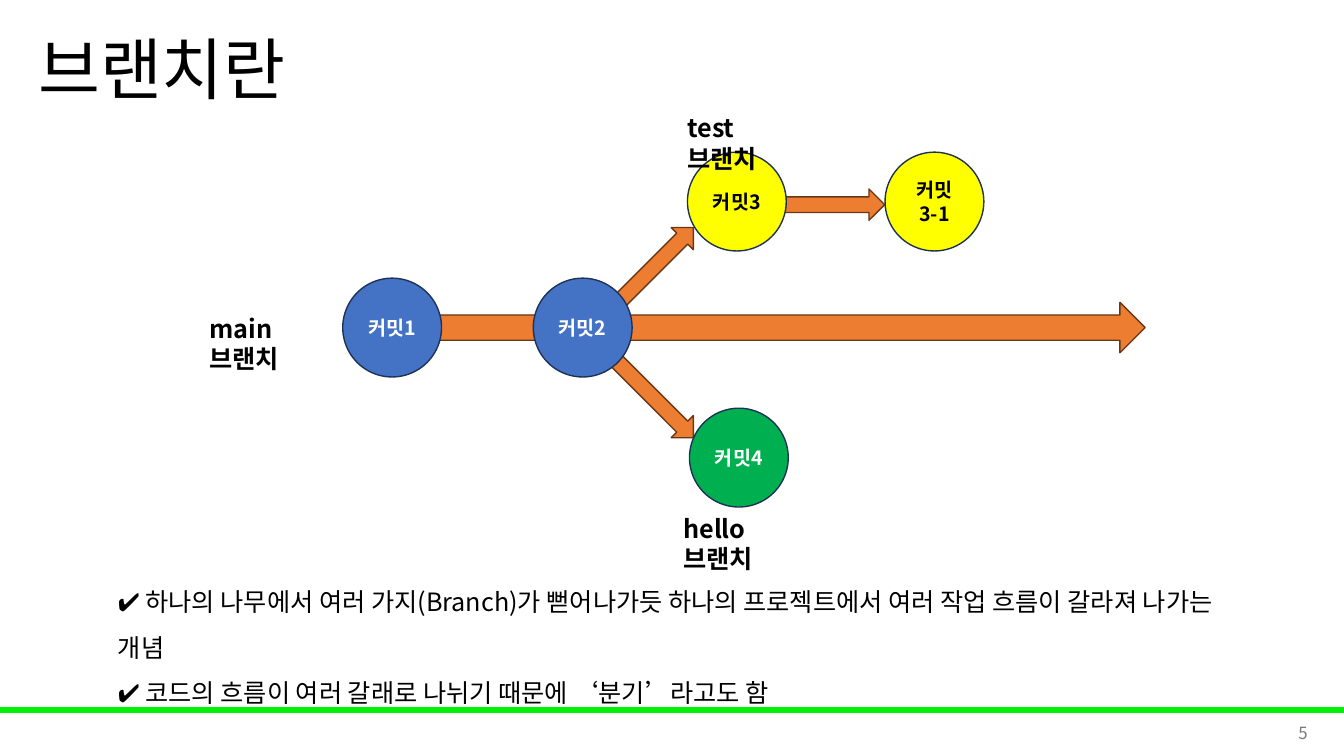
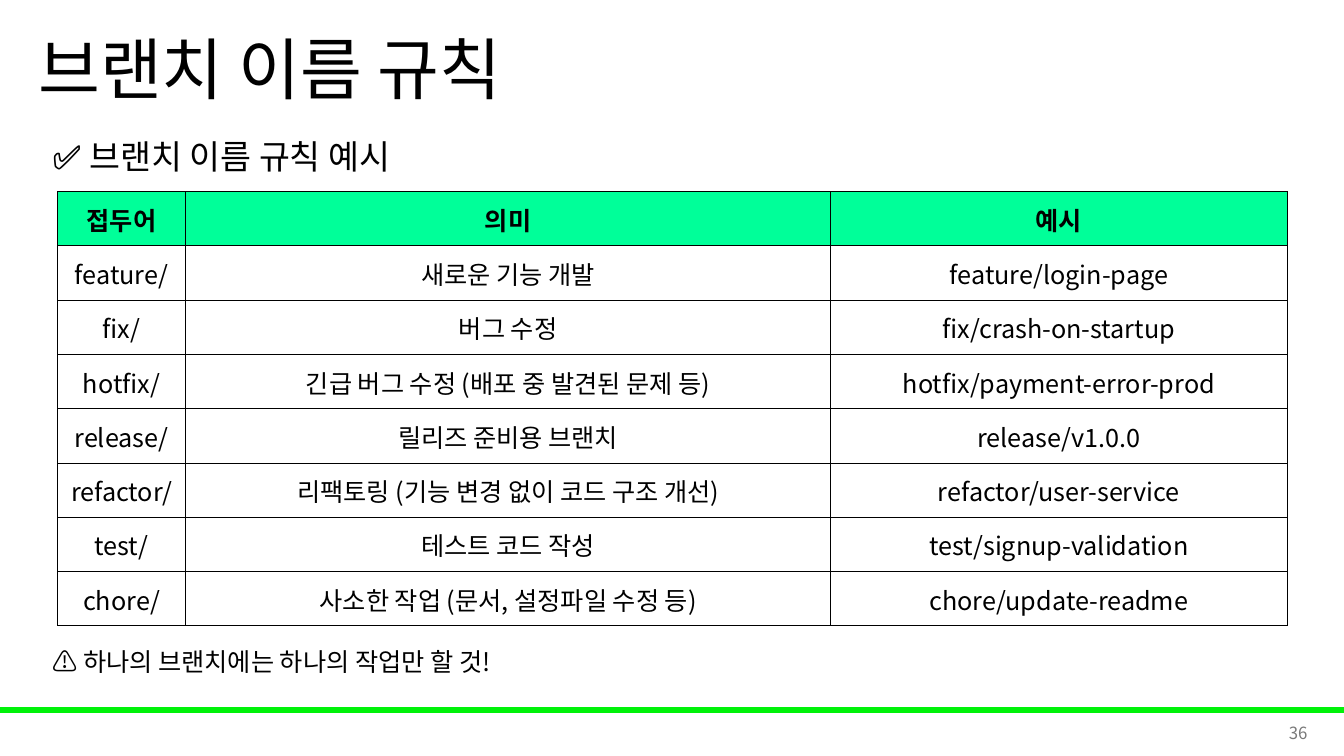
"""Build two slides on Git branches: the concept and the naming rules."""
from lxml.etree import SubElement
from pptx import Presentation
from pptx.dml.color import RGBColor
from pptx.enum.shapes import MSO_SHAPE as Shape
from pptx.enum.text import MSO_ANCHOR as Anchor, MSO_AUTO_SIZE as AutoSize, PP_ALIGN as Align
from pptx.oxml import parse_xml
from pptx.oxml.ns import nsdecls, qn
from pptx.util import Inches, Pt

FONT = "Noto Sans CJK KR"
BLACK = RGBColor(0x00, 0x00, 0x00)
WHITE = RGBColor(0xFF, 0xFF, 0xFF)
GRAY = RGBColor(0x79, 0x79, 0x79)
BAND_GREEN = RGBColor(0x00, 0xF2, 0x09)
HEADER_GREEN = RGBColor(0x00, 0xFF, 0x99)
ORANGE = RGBColor(0xED, 0x7D, 0x31)
BROWN = RGBColor(0x68, 0x37, 0x15)
BLUE = RGBColor(0x44, 0x72, 0xC4)
NAVY = RGBColor(0x1E, 0x32, 0x56)
YELLOW = RGBColor(0xFF, 0xFF, 0x00)
GREEN = RGBColor(0x00, 0xB0, 0x50)

deck = Presentation()
deck.slide_width, deck.slide_height = Inches(13.33), Inches(7.5)


def area(left, top, width, height):
    """Turn percentages of the slide into a position and a size."""
    across, down = deck.slide_width / 100, deck.slide_height / 100
    return round(left * across), round(top * down), round(width * across), round(height * down)


def write(frame, text, size, color=BLACK, bold=False, align=Align.LEFT, spacing=1.0, anchor=Anchor.TOP):
    """Fill a text frame and format all of its paragraphs."""
    frame.text = text
    frame.word_wrap = True
    frame.vertical_anchor = anchor
    for paragraph in frame.paragraphs:
        paragraph.alignment = align
        paragraph.line_spacing = spacing
        paragraph.space_before = Pt(0)
        for run in paragraph.runs:
            run.font.name, run.font.size, run.font.bold = FONT, Pt(size), bold
            run.font.color.rgb = color
            SubElement(run.font._element, qn("a:ea"), typeface=FONT)


pages = []
for layout_index, heading, number in ((5, "브랜치란", "5"), (1, "브랜치 이름 규칙", "36")):
    page = deck.slides.add_slide(deck.slide_layouts[layout_index])
    title = page.shapes.title
    title.left, title.top, title.width, title.height = area(2.1, 0, 86.25, 19.33)
    write(title.text_frame, heading, 48, spacing=0.9, anchor=Anchor.MIDDLE)
    title.text_frame.auto_size = AutoSize.NONE
    page_number = page.shapes.add_textbox(*area(75.53, 94.27, 22.5, 5.33))
    write(page_number.text_frame, number, 12, GRAY, align=Align.RIGHT, anchor=Anchor.MIDDLE)
    pages.append(page)
concept, naming = pages

band = concept.shapes.add_shape(Shape.RECTANGLE, *area(0, 93.6, 100, 0.67))
band.shadow.inherit = False
band.fill.solid()
band.fill.fore_color.rgb = BAND_GREEN
band.line.color.rgb = BAND_GREEN
band.line.width = Pt(1)
deck.slide_master.shapes.element.insert(2, band.element)

points = concept.shapes.add_textbox(*area(8.03, 74.93, 84.08, 12.8))
write(
    points.text_frame,
    "✔️ 하나의 나무에서 여러 가지(Branch)가 뻗어나가듯 하나의 프로젝트에서 여러 작업 흐름이 갈라져 나가는 개념\n"
    "✔️ 코드의 흐름이 여러 갈래로 나뉘기 때문에 ‘분기’라고도 함",
    18,
    spacing=1.5,
)

diagram = concept.shapes.add_group_shape().shapes
MAIN_ROW, TEST_ROW, HELLO_ROW = 36.8, 20.13, 54
flows = (
    (Shape.DOWN_ARROW, (60.83, 20.27, 2.33, 13.6), 270),
    (Shape.DOWN_ARROW, (47.4, 44.93, 2.33, 15.2), 315),
    (Shape.DOWN_ARROW, (47.4, 27.87, 2.33, 15.2), 225),
    (Shape.RIGHT_ARROW, (26.18, 40, 59.03, 6.67), 0),
)
commits = (
    ("커밋1", 25.5, MAIN_ROW, BLUE, WHITE),
    ("커밋2", 39.68, MAIN_ROW, BLUE, WHITE),
    ("커밋3", 51.15, TEST_ROW, YELLOW, BLACK),
    ("커밋3-1", 65.85, TEST_ROW, YELLOW, BLACK),
    ("커밋4", 51.3, HELLO_ROW, GREEN, WHITE),
)
nodes = [(kind, place, turn, ORANGE, BROWN, "", WHITE) for kind, place, turn in flows]
nodes += [
    (Shape.OVAL, (left, top, 7.35, 13.07), 0, fill, NAVY, name, ink)
    for name, left, top, fill, ink in commits
]
for kind, place, turn, fill, outline, name, ink in nodes:
    node = diagram.add_shape(kind, *area(*place))
    node.rotation = turn
    node.shadow.inherit = False
    node.fill.solid()
    node.fill.fore_color.rgb = fill
    node.line.color.rgb = outline
    node.line.width = Pt(1)
    if name:
        write(node.text_frame, name, 14, ink, True, Align.CENTER, anchor=Anchor.MIDDLE)

for branch, left, top, width in (
    ("main브랜치", 14.85, 40.8, 9.75),
    ("test브랜치", 50.4, 14.27, 9.08),
    ("hello브랜치", 50.1, 67.2, 9.75),
):
    branch_label = diagram.add_textbox(*area(left, top, width, 5.07))
    write(branch_label.text_frame, branch, 18, bold=True)

subtitle = naming.placeholders[1]
subtitle.left, subtitle.top, subtitle.width, subtitle.height = area(3.15, 16.27, 93.83, 9.33)
write(subtitle.text_frame, "✅ 브랜치 이름 규칙 예시", 24, spacing=1.2)
subtitle.text_frame.auto_size = AutoSize.NONE
subtitle_format = subtitle.text_frame.paragraphs[0]._p.get_or_add_pPr()
subtitle_format.set("marL", "0")
subtitle_format.set("indent", "0")
SubElement(subtitle_format, qn("a:buNone"))

caution = naming.shapes.add_textbox(*area(3.15, 82.8, 50.18, 6.67))
write(caution.text_frame, "⚠️ 하나의 브랜치에는 하나의 작업만 할 것!", 18, spacing=1.5)

rules = (
    ("접두어", "의미", "예시"),
    ("feature/", "새로운 기능 개발", "feature/login-page"),
    ("fix/", "버그 수정", "fix/crash-on-startup"),
    ("hotfix/", "긴급 버그 수정 (배포 중 발견된 문제 등)", "hotfix/payment-error-prod"),
    ("release/", "릴리즈 준비용 브랜치", "release/v1.0.0"),
    ("refactor/", "리팩토링 (기능 변경 없이 코드 구조 개선)", "refactor/user-service"),
    ("test/", "테스트 코드 작성", "test/signup-validation"),
    ("chore/", "사소한 작업 (문서, 설정파일 수정 등)", "chore/update-readme"),
)
rule_table = naming.shapes.add_table(len(rules), 3, *area(4.28, 25.33, 91.5, 57.47)).table
rule_table.first_row = rule_table.horz_banding = False
for column, share in zip(rule_table.columns, (9.53, 48, 33.97)):
    column.width = round(deck.slide_width * share / 100)
for row_index, rule in enumerate(rules):
    is_header = row_index == 0
    for column_index, entry in enumerate(rule):
        cell = rule_table.cell(row_index, column_index)
        write(cell.text_frame, entry, 18, bold=is_header, align=Align.CENTER)
        cell.vertical_anchor = Anchor.MIDDLE
        cell.margin_left = cell.margin_right = cell.margin_top = Inches(0.01)
        cell.margin_bottom = 0
        if is_header:
            cell.fill.solid()
            cell.fill.fore_color.rgb = HEADER_GREEN
        else:
            cell.fill.background()
        cell_format = cell._tc.get_or_add_tcPr()
        for order, side in enumerate(("lnL", "lnR", "lnT", "lnB")):
            border = parse_xml(
                f'<a:{side} {nsdecls("a")} w="{Pt(0.5)}"><a:solidFill>'
                f'<a:srgbClr val="{BLACK}"/></a:solidFill></a:{side}>'
            )
            cell_format.insert(order, border)

deck.save("out.pptx")
